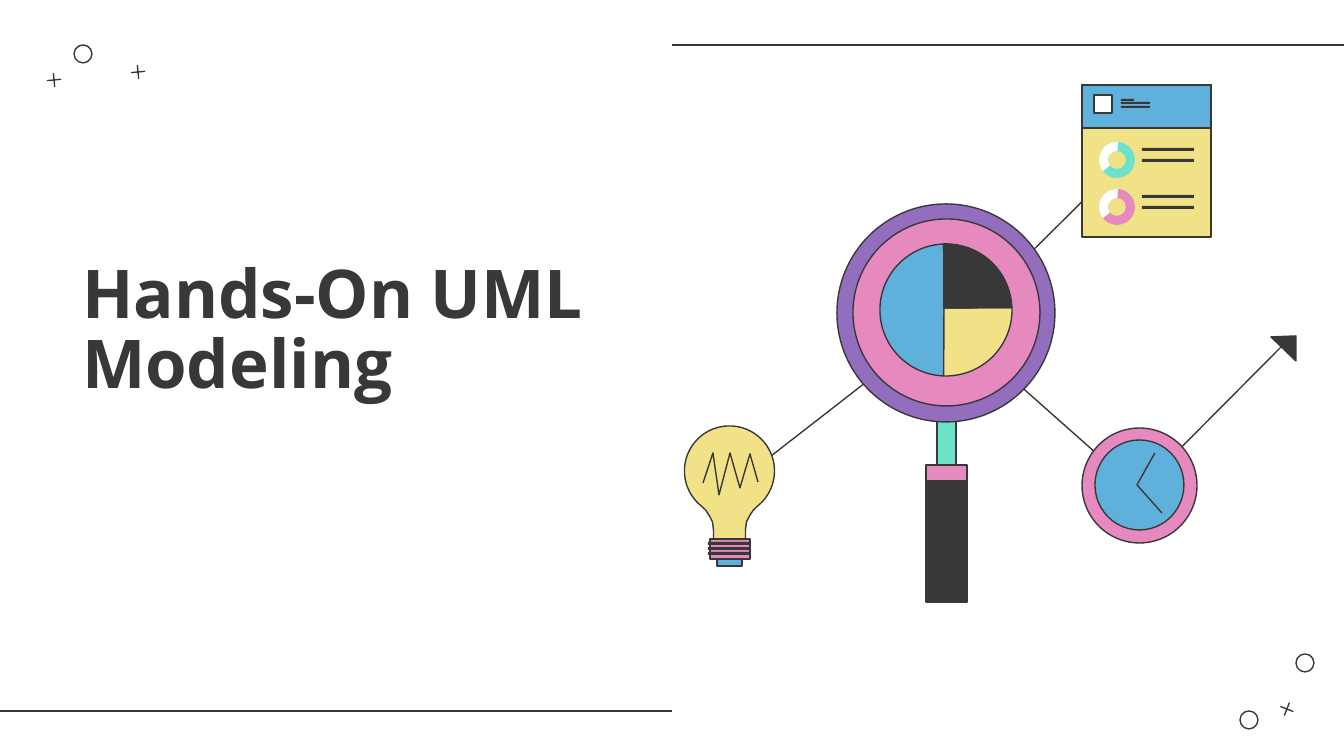
import math
from dataclasses import dataclass
from typing import Optional

import pptx
import pptx.dml.color
import pptx.enum.shapes
import pptx.enum.text
import pptx.oxml.ns
import pptx.util
from lxml import etree

RGBColor = pptx.dml.color.RGBColor
MSO_SHAPE = pptx.enum.shapes.MSO_SHAPE

INK = RGBColor(0x38, 0x38, 0x38)
WHITE = RGBColor(0xFF, 0xFF, 0xFF)
BLUE = RGBColor(0x5F, 0xB0, 0xDA)
YELLOW = RGBColor(0xF1, 0xE2, 0x87)
PINK = RGBColor(0xE5, 0x89, 0xBF)
PURPLE = RGBColor(0x94, 0x6E, 0xBE)
MINT = RGBColor(0x6C, 0xE2, 0xCB)

SCALE = 914400 / 134.4  # EMU per px
LINE_WIDTH = pptx.util.Pt(0.75)
Point = tuple[float, float]


@dataclass(frozen=True)
class Block:
    left: int
    top: int
    width: int
    height: int
    fill: Optional[RGBColor] = None
    outlined: bool = True
    kind: MSO_SHAPE = MSO_SHAPE.RECTANGLE
    rotation: float = 0
    adjustments: tuple[float, ...] = ()


@dataclass(frozen=True)
class Sector:
    start: int
    end: int
    fill: RGBColor


def emu(px: float) -> int:
    return round(px * SCALE)


def paint(shape, fill: Optional[RGBColor], outlined: bool) -> None:
    shape.shadow.inherit = False
    if fill is None:
        shape.fill.background()
    else:
        shape.fill.solid()
        shape.fill.fore_color.rgb = fill
    if outlined:
        shape.line.color.rgb = INK
        shape.line.width = LINE_WIDTH
    else:
        shape.line.fill.background()


def draw_block(slide, block: Block) -> None:
    box = (block.left, block.top, block.width, block.height)
    shape = slide.shapes.add_shape(block.kind, *map(emu, box))
    for index, value in enumerate(block.adjustments):
        shape.adjustments[index] = value
    shape.rotation = block.rotation
    paint(shape, block.fill, block.outlined)


def draw_line(slide, start: Point, end: Point) -> None:
    line = slide.shapes.add_connector(
        pptx.enum.shapes.MSO_CONNECTOR.STRAIGHT, *map(emu, start + end))
    line.line.color.rgb = INK
    line.line.width = LINE_WIDTH
    properties = line._element.spPr
    etree.SubElement(properties, pptx.oxml.ns.qn("a:effectLst"))


def draw_path(slide, points: list[Point], fill: Optional[RGBColor] = None) -> None:
    vertices = [(emu(x), emu(y)) for x, y in points]
    builder = slide.shapes.build_freeform(*vertices[0], scale=1.0)
    builder.add_line_segments(vertices[1:], close=fill is not None)
    paint(builder.convert_to_shape(), fill, True)


def arc(centre: Point, radius: float, start: int, end: int) -> list[Point]:
    return [(centre[0] + radius * math.cos(math.radians(angle)),
             centre[1] + radius * math.sin(math.radians(angle)))
            for angle in range(start, end + 1, 2)]


def circle(left: int, top: int, size: int, fill: Optional[RGBColor] = None,
           rotation: float = 0) -> Block:
    return Block(left, top, size, size, fill, True, MSO_SHAPE.OVAL, rotation)


def plus(left: int, top: int, rotation: float) -> Block:
    return Block(left, top, 18, 18, None, True, MSO_SHAPE.MATH_PLUS, rotation, (0,))


def bar(left: int, top: int, width: int, height: int) -> Block:
    return Block(left, top, width, height, INK, False)


def draw_blocks(slide, blocks: list[Block]) -> None:
    for block in blocks:
        draw_block(slide, block)


def draw_title(slide) -> None:
    title = slide.shapes.title
    title.left, title.top, title.width, title.height = map(emu, (69, 215, 617, 196))
    frame = title.text_frame
    frame.text = "Hands-On UML Modeling"
    frame_format = {
        "word_wrap": True,
        "auto_size": pptx.enum.text.MSO_AUTO_SIZE.NONE,
        "vertical_anchor": pptx.enum.text.MSO_ANCHOR.BOTTOM,
        "margin_left": emu(13), "margin_right": emu(13),
        "margin_top": emu(13), "margin_bottom": emu(8),
    }
    for name, value in frame_format.items():
        setattr(frame, name, value)
    paragraph = frame.paragraphs[0]
    paragraph.alignment = pptx.enum.text.PP_ALIGN.LEFT
    paragraph.line_spacing = 0.87
    font_format = {"name": "Open Sans", "size": pptx.util.Pt(36), "bold": True}
    for name, value in font_format.items():
        setattr(paragraph.font, name, value)
    paragraph.font.color.rgb = INK


def draw_decoration(slide) -> None:
    draw_line(slide, (1344, 45), (672, 45))
    draw_line(slide, (672, 711), (0, 711))
    draw_blocks(slide, [
        circle(74, 45, 18), plus(45, 71, 84.5), plus(129, 63, 84.5),
        circle(1240, 711, 18), plus(1278, 700, 291.4), circle(1296, 654, 18),
    ])


def draw_links(slide) -> None:
    draw_line(slide, (1001, 282), (1105, 179))
    draw_line(slide, (1141, 488), (1283, 345))
    draw_path(slide, [(726, 491), (946, 320), (1140, 492)])
    draw_path(slide, [(1296, 336), (1271, 337), (1296, 361)], INK)


def draw_magnifier(slide) -> None:
    draw_blocks(slide, [
        Block(937, 409, 19, 173, MINT),
        Block(926, 481, 41, 121, INK),
        Block(926, 465, 41, 16, PINK),
        circle(837, 204, 218, PURPLE),
        circle(853, 219, 187, PINK),
    ])
    # Pie in the lens
    for sector in (Sector(92, 268, BLUE), Sector(-2, 92, YELLOW), Sector(268, 358, INK)):
        rim = arc((946, 310), 66, sector.start, sector.end)
        draw_path(slide, [(944, 308)] + rim, sector.fill)


def draw_bulb(slide) -> None:
    middle = 729.5
    neck = [(24, 510), (20, 516), (17, 522), (16, 530), (16, 540)]
    right = [(middle + offset, y) for offset, y in neck]
    left = [(middle - offset, y) for offset, y in reversed(neck)]
    draw_path(slide, arc((middle, 471), 45, 128, 412) + right + left, YELLOW)
    draw_blocks(slide, [Block(717, 557, 25, 9, BLUE), Block(710, 539, 40, 20, PINK)])
    draw_blocks(slide, [bar(708, 542 + 5 * row, 43, 3) for row in range(3)])
    draw_path(slide, [(703, 483), (713, 453), (719, 495), (730, 453),
                      (740, 488), (750, 454), (758, 482)])


def draw_clock(slide) -> None:
    draw_blocks(slide, [circle(1082, 428, 115, PINK),
                        Block(1095, 440, 89, 90, BLUE, kind=MSO_SHAPE.OVAL)])
    draw_path(slide, [(1155, 453), (1137, 485), (1162, 513)])


def draw_report(slide) -> None:
    draw_blocks(slide, [
        Block(1082, 85, 129, 152, YELLOW), Block(1082, 85, 129, 43, BLUE),
        bar(1121, 99, 13, 2), bar(1121, 102, 29, 2), bar(1121, 106, 29, 2),
        Block(1094, 95, 18, 18, WHITE),
    ])
    for top, colour in ((142, MINT), (189, PINK)):
        draw_blocks(slide, [
            Block(1099, top, 36, 36, colour, False, MSO_SHAPE.DONUT, 0, (0.25,)),
            Block(1099, top, 36, 36, WHITE, False, MSO_SHAPE.BLOCK_ARC, 0,
                  (84.95, 164, 0.25)),
            bar(1142, top + 6, 52, 3), bar(1142, top + 17, 52, 3),
        ])


def main() -> None:
    presentation = pptx.Presentation()
    presentation.slide_width, presentation.slide_height = emu(1344), emu(756)
    slide = presentation.slides.add_slide(presentation.slide_layouts[5])
    draw_decoration(slide)
    draw_title(slide)
    draw_links(slide)
    draw_magnifier(slide)
    draw_bulb(slide)
    draw_clock(slide)
    draw_report(slide)
    presentation.save("out.pptx")


if __name__ == "__main__":
    main()
